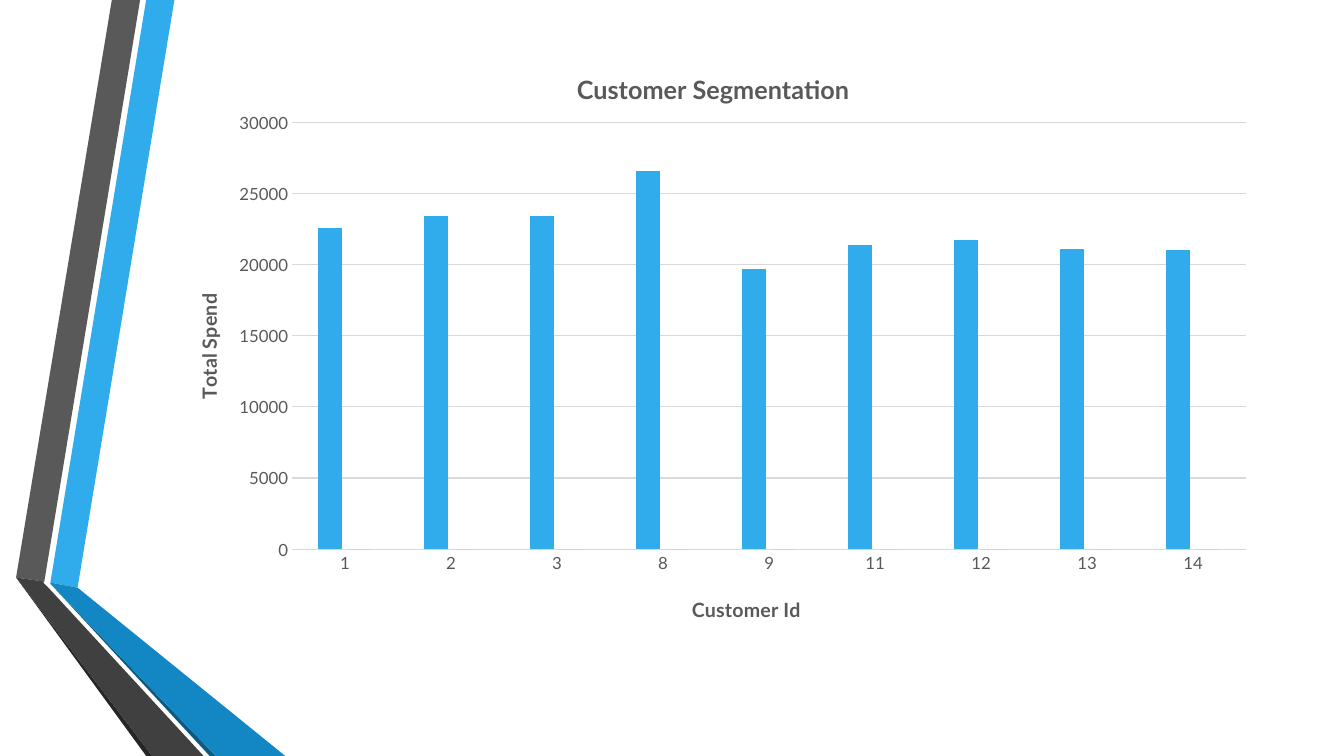
from lxml import etree
from pptx import Presentation
from pptx.chart.data import CategoryChartData
from pptx.dml.color import RGBColor
from pptx.enum.chart import XL_CHART_TYPE, XL_TICK_MARK
from pptx.oxml.ns import qn
from pptx.util import Inches, Pt

FONT = "Lato"
BLUE = RGBColor(0x30, 0xAC, 0xEC)
BLUE_MID = RGBColor(0x12, 0x87, 0xC3)
BLUE_DARK = RGBColor(0x0C, 0x5A, 0x82)
GREEN = RGBColor(0x80, 0xC3, 0x4F)
GRAY = RGBColor(0x59, 0x59, 0x59)
GRAY_MID = RGBColor(0x40, 0x40, 0x40)
GRAY_DARK = RGBColor(0x26, 0x26, 0x26)
GRID = RGBColor(0xD9, 0xD9, 0xD9)

# Ribbon outlines, in inches from the corner of the ribbon area
RIBBONS = [
    (BLUE, [(0.5, 5.78), (0.77, 5.83), (1.73, 0), (1.45, 0)]),
    (GRAY, [(1.39, 0), (1.11, 0), (0.16, 5.73), (0.44, 5.77)]),
    (GRAY_DARK, [(0.16, 5.73), (1.45, 7.5), (1.51, 7.5)]),
    (BLUE_DARK, [(0.5, 5.79), (2.08, 7.5), (2.14, 7.5)]),
    (BLUE_MID, [(0.5, 5.79), (2.14, 7.5), (2.83, 7.5), (0.77, 5.83), (0.5, 5.78)]),
    (GRAY_MID, [(2.02, 7.5), (0.48, 5.83), (0.43, 5.78), (0.44, 5.77),
                (0.16, 5.73), (1.51, 7.5)]),
]

CUSTOMER_SPEND = {
    "1": 22600, "2": 23400, "3": 23400, "8": 26600, "9": 19700,
    "11": 21400, "12": 21700, "13": 21100, "14": 21000,
}


def add_ribbons(page, left, top):
    """Draw the folded ribbons from the given corner."""
    for color, outline in RIBBONS:
        points = [(Inches(left + x), Inches(top + y)) for x, y in outline]
        builder = page.shapes.build_freeform(*points[0], scale=1.0)
        builder.add_line_segments(points[1:], close=True)
        ribbon = builder.convert_to_shape()
        ribbon.shadow.inherit = False
        ribbon.fill.solid()
        ribbon.fill.fore_color.rgb = color
        ribbon.line.fill.background()


def set_layout(element, index, **places):
    """Place a chart part by fractions of the chart's size."""
    for previous in element.findall(qn("c:layout")):
        element.remove(previous)
    layout = etree.Element(qn("c:layout"))
    manual = etree.SubElement(layout, qn("c:manualLayout"))
    if "w" in places:
        etree.SubElement(manual, qn("c:layoutTarget")).set("val", "inner")
    for name in ("x", "y"):
        etree.SubElement(manual, qn(f"c:{name}Mode")).set("val", "edge")
    for name, value in places.items():
        etree.SubElement(manual, qn(f"c:{name}")).set("val", str(value))
    element.insert(index, layout)


def style_font(font, size, bold=False):
    font.name = FONT
    font.size = Pt(size)
    font.bold = bold
    font.color.rgb = GRAY


def set_title(title, text, size, x, y):
    title.text_frame.text = text
    style_font(title.text_frame.paragraphs[0].runs[0].font, size, bold=True)
    set_layout(title._element, 1, x=x, y=y)


def add_spend_chart(page, left, top, width, height):
    """Draw the column chart of spend per customer in the given box."""
    data = CategoryChartData()
    data.categories = list(CUSTOMER_SPEND)
    data.add_series("Series 1", list(CUSTOMER_SPEND.values()))
    data.add_series("Series 2", [0] * len(CUSTOMER_SPEND))
    chart = page.shapes.add_chart(
        XL_CHART_TYPE.COLUMN_CLUSTERED, Inches(left), Inches(top),
        Inches(width), Inches(height), data).chart
    style_font(chart.font, 12)
    chart.has_legend = False
    set_title(chart.chart_title, "Customer Segmentation", 18, 0.37, 0.04)

    # Columns
    plot = chart.plots[0]
    plot.vary_by_categories = False
    plot.gap_width = 219
    plot.overlap = -27
    for series, color in zip(plot.series, (BLUE, GREEN)):
        series.format.fill.solid()
        series.format.fill.fore_color.rgb = color
    plot_area = chart._chartSpace.find(f".//{qn('c:plotArea')}")
    set_layout(plot_area, 0, x=0.1165, y=0.134, w=0.8635, h=0.7155)

    # Axes
    customers, spend = chart.category_axis, chart.value_axis
    for axis in (customers, spend):
        axis.major_tick_mark = XL_TICK_MARK.NONE
        axis.minor_tick_mark = XL_TICK_MARK.NONE
        style_font(axis.tick_labels.font, 12)
    spend.minimum_scale, spend.maximum_scale = 0, 30000
    spend.major_unit = 5000
    spend.tick_labels.number_format = "General"
    spend.tick_labels.number_format_is_linked = False
    spend.format.line.fill.background()
    for line in (customers.format.line, spend.major_gridlines.format.line):
        line.color.rgb = GRID
        line.width = Pt(0.75)
    set_title(customers.axis_title, "Customer Id", 14, 0.475, 0.92)
    set_title(spend.axis_title, "Total Spend", 14, 0.025, 0.415)
    body = spend.axis_title._element.find(f".//{qn('a:bodyPr')}")
    body.set("rot", "-5400000")
    body.set("vert", "horz")


def main():
    deck = Presentation()
    deck.slide_width, deck.slide_height = Inches(13.33), Inches(7.5)
    page = deck.slides.add_slide(deck.slide_layouts[6])
    add_ribbons(page, 0, 0)
    add_spend_chart(page, 1.62, 0.42, 10.96, 5.92)
    deck.save("out.pptx")


if __name__ == "__main__":
    main()
